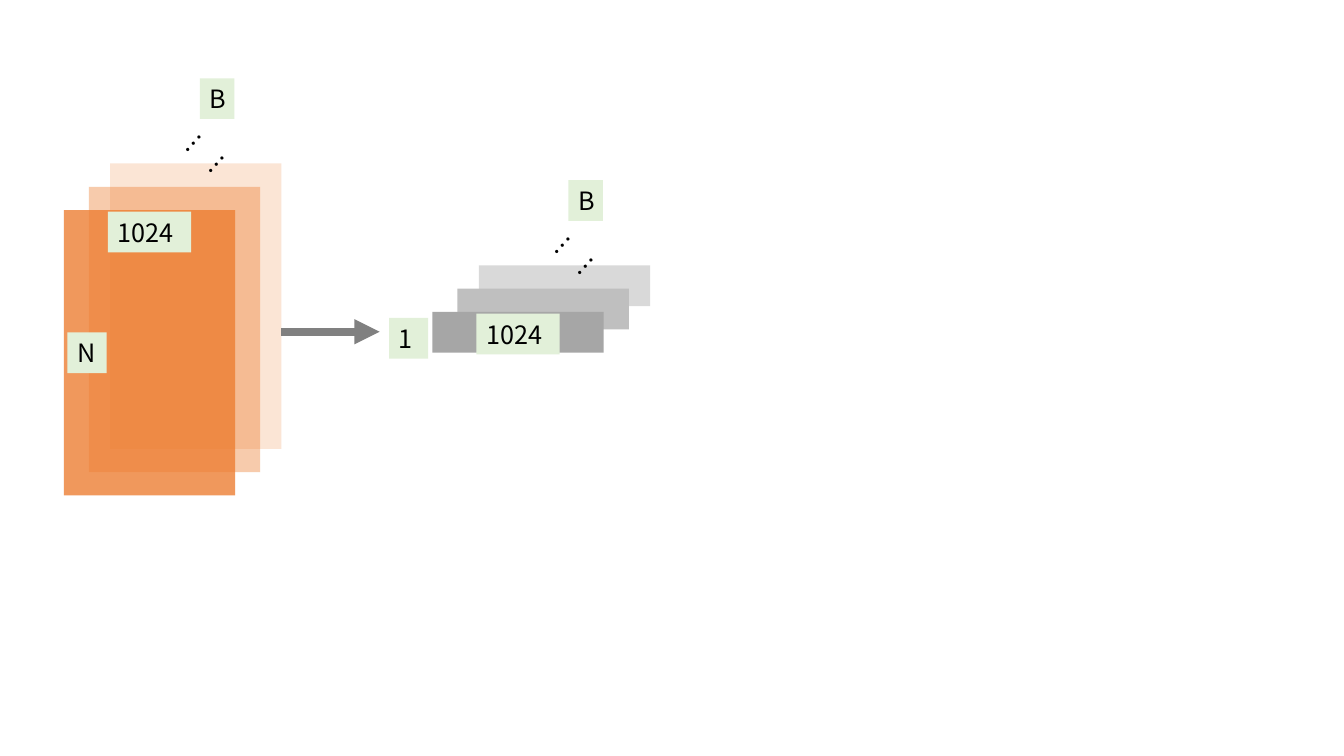
from lxml import etree
from pptx import Presentation, util as u
from pptx.dml.color import RGBColor
from pptx.enum import shapes, text
from pptx.oxml.ns import qn

ORANGE = RGBColor(0xED, 0x7D, 0x31)
LIGHT_GRAY = RGBColor(0xD9, 0xD9, 0xD9)
MID_GRAY = RGBColor(0xBF, 0xBF, 0xBF)
DARK_GRAY = RGBColor(0xA6, 0xA6, 0xA6)
ARROW_GRAY = RGBColor(0x80, 0x80, 0x80)
LABEL_GREEN = RGBColor(0xE2, 0xF0, 0xD9)
BLACK = RGBColor(0, 0, 0)
FONT = "Noto Sans CJK SC"
ROW_HEIGHT = 29.1

presentation = Presentation()
presentation.slide_width = u.Pt(960)
presentation.slide_height = u.Pt(540)
slide = presentation.slides.add_slide(presentation.slide_layouts[6])


def add_block(left, top, width, height, color, opacity=100):
    shape = slide.shapes.add_shape(
        shapes.MSO_SHAPE.RECTANGLE, u.Pt(left), u.Pt(top), u.Pt(width), u.Pt(height))
    shape.shadow.inherit = False
    shape.line.fill.background()
    shape.fill.solid()
    shape.fill.fore_color.rgb = color
    if opacity < 100:
        color_node = shape._element.spPr.find(qn("a:solidFill"))[0]
        etree.SubElement(color_node, qn("a:alpha")).set("val", str(opacity * 1000))
    return shape


def write(shape, wording, anchor):
    frame = shape.text_frame
    frame.word_wrap = True
    frame.vertical_anchor = anchor
    frame.text = wording
    paragraph = frame.paragraphs[0]
    paragraph.alignment = text.PP_ALIGN.LEFT
    font = paragraph.runs[0].font
    font.size = u.Pt(18)
    font.name = FONT
    font.color.rgb = BLACK
    properties = paragraph.runs[0]._r.get_or_add_rPr()
    etree.SubElement(properties, qn("a:ea")).set("typeface", FONT)
    return paragraph


input_layers = [(ORANGE, 20), (ORANGE, 40), (ORANGE, 79)]
output_layers = [(LIGHT_GRAY, 100), (MID_GRAY, 100), (DARK_GRAY, 100)]
layer_corners = [(78.7, 116.7), (63.5, 133.4), (45.6, 150)]
stacks = [
    (0, 0, 203.9, input_layers, "N", 48.2, 237.5),
    (263.3, 72.8, ROW_HEIGHT, output_layers, "1", 277.9, 227),
]

for shift_x, shift_y, height, layers, rows, rows_left, rows_top in stacks:
    for (left, top), (color, opacity) in zip(layer_corners, layers):
        add_block(left + shift_x, top + shift_y, 122.4, height, color, opacity)

    labels = [
        (rows, rows_left, rows_top, 28),
        ("1024", 77 + shift_x, 151.2 + shift_y, 59.5),
        ("B", 142.7 + shift_x, 55.9 + shift_y, 24.7),
    ]
    for wording, left, top, width in labels:
        label = add_block(left, top, width, ROW_HEIGHT, LABEL_GREEN)
        write(label, wording, text.MSO_ANCHOR.MIDDLE)

    dots = slide.shapes.add_textbox(
        u.Pt(121 + shift_x), u.Pt(85 + shift_y), u.Pt(40.3), u.Pt(ROW_HEIGHT))
    dots.rotation = 311.9
    paragraph = write(dots, "……", text.MSO_ANCHOR.TOP)
    paragraph.line_spacing = u.Pt(21.8)

arrow = slide.shapes.add_connector(
    shapes.MSO_CONNECTOR.STRAIGHT, u.Pt(200.9), u.Pt(237), u.Pt(271.2), u.Pt(237))
arrow.line.color.rgb = ARROW_GRAY
arrow.line.width = u.Pt(6)
etree.SubElement(arrow.line._get_or_add_ln(), qn("a:tailEnd")).set("type", "triangle")
etree.SubElement(arrow._element.spPr, qn("a:effectLst"))

presentation.save("out.pptx")
